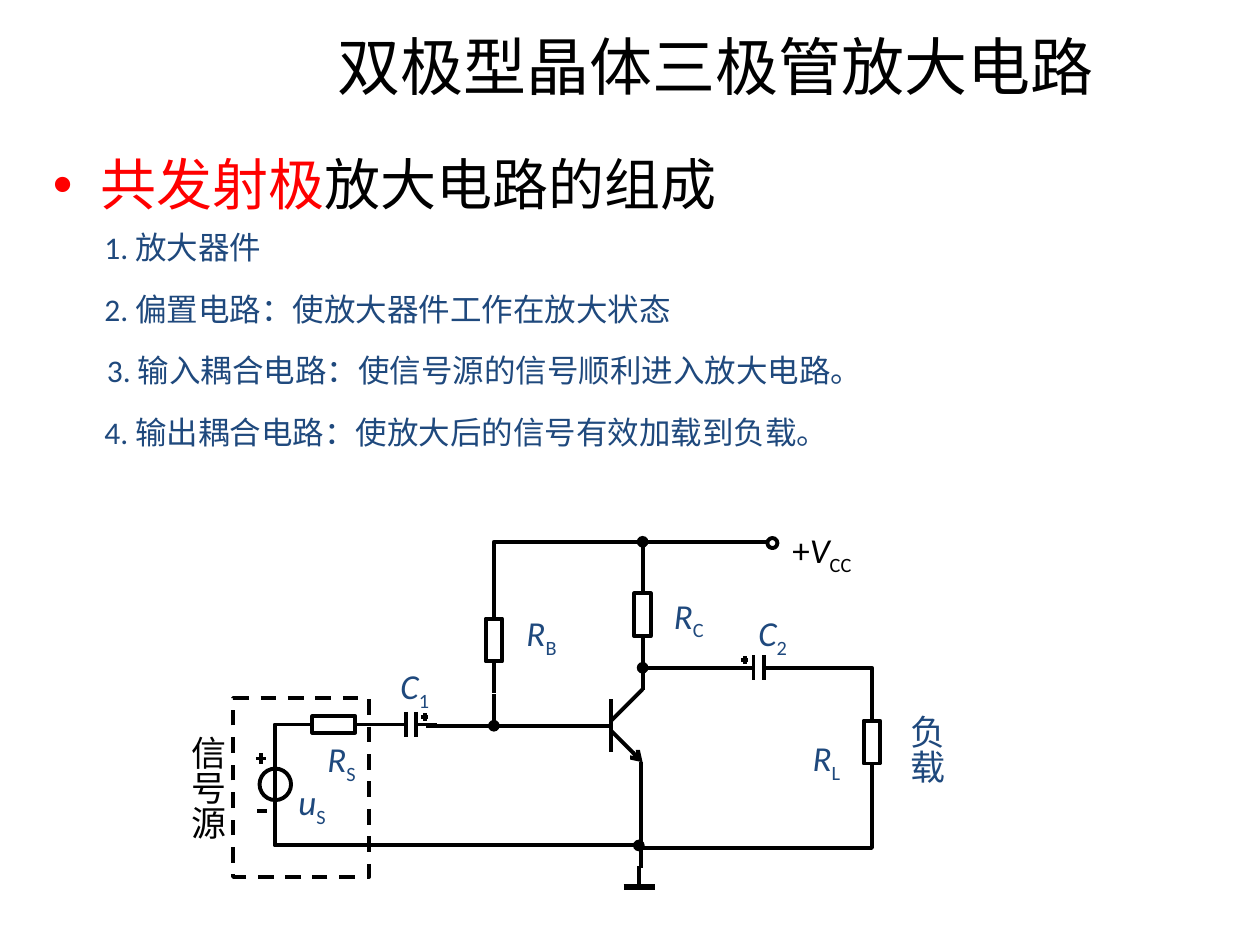
import pptx
import pptx.dml.color
import pptx.enum.dml
import pptx.enum.shapes
import pptx.enum.text
import pptx.oxml
import pptx.oxml.ns
import pptx.util
import lxml.etree

Inches = pptx.util.Inches
Pt = pptx.util.Pt
qn = pptx.oxml.ns.qn
SHAPE = pptx.enum.shapes.MSO_SHAPE
ALIGN = pptx.enum.text.PP_ALIGN
BLACK, BLUE, RED = "000000", "1F497D", "FF0000"

STEPS = [  # left, top, width, text
    (0.73, 1.70, 2.25, "1. 放大器件"),
    (0.73, 2.19, 6.74, "2. 偏置电路：使放大器件工作在放大状态"),
    (0.75, 2.68, 8.73, "3. 输入耦合电路：使信号源的信号顺利进入放大电路。"),
    (0.73, 3.17, 8.69, "4. 输出耦合电路：使放大后的信号有效加载到负载。"),
]
NAMES = [  # left, top, width, symbol, subscript
    (4.08, 4.73, 0.51, "R", "B"),
    (5.25, 4.59, 0.52, "R", "C"),
    (3.08, 5.15, 0.48, "C", "1"),
    (2.50, 5.73, 0.49, "R", "S"),
    (2.27, 6.07, 0.46, "u", "S"),
    (5.92, 4.73, 0.48, "C", "2"),
    (6.35, 5.72, 0.52, "R", "L"),
]
WIRES = [  # start, end, tail end
    ((4.85, 5.55), (4.85, 5.97), None),  # transistor
    ((4.85, 5.72), (5.10, 5.47), None),
    ((4.85, 5.80), (5.10, 6.05), "arrow"),
    ((4.60, 5.76), (4.85, 5.76), None),
    ((5.09, 6.05), (5.09, 6.89), None),  # emitter to ground
    ((5.07, 7.04), (5.07, 6.87), None),
    ((3.38, 5.76), (4.63, 5.76), None),  # base
    ((3.92, 5.51), (3.92, 5.76), "oval"),
    ((5.10, 4.72), (5.10, 4.30), "oval"),  # collector
    ((5.10, 5.14), (5.10, 5.48), None),
    ((5.85, 5.30), (5.10, 5.30), "oval"),
    ((2.18, 5.92), (2.18, 6.55), None),  # source
    ((2.04, 6.44), (2.12, 6.44), None),
]
PATHS = [  # points, tail end
    ([(3.92, 4.80), (3.92, 4.30), (6.09, 4.30)], None),
    ([(2.18, 6.46), (2.18, 6.71), (5.07, 6.71)], "oval"),
    ([(2.18, 6.00), (2.18, 5.75), (2.43, 5.75)], None),
    ([(6.17, 5.30), (6.92, 5.30), (6.92, 5.72)], None),
    ([(6.92, 6.22), (6.92, 6.73), (5.09, 6.73)], None),
]


def paint(hue):
    return pptx.dml.color.RGBColor.from_string(hue)


def apply(item, vals):
    for key, val in vals.items():
        setattr(item, key, val)


def place(item, *box):
    apply(item, dict(zip(("left", "top", "width", "height"), map(Inches, box))))


def write(para, text, size, hue, italic=None, base=None):
    run = para.add_run()
    apply(run, {"text": text})
    apply(run.font, {"name": "Calibri", "size": Pt(size), "italic": italic})
    run.font.color.rgb = paint(hue)
    if base:
        run._r.get_or_add_rPr().set("baseline", str(base))


def label(slide, box, runs, wrap=False, vert=None):
    frame = slide.shapes.add_textbox(*map(Inches, box)).text_frame
    frame.word_wrap = wrap
    if vert:
        frame._txBody.bodyPr.set("vert", vert)
    para = frame.paragraphs[0]
    size = runs[0][1]
    apply(para, {"alignment": ALIGN.JUSTIFY, "line_spacing": 1.2,
                 "space_before": Pt(size / 10)})
    for run in runs:
        write(para, *run)


def ink(line, width=2.25, tail=None):
    line.color.rgb = paint(BLACK)
    line.width = Pt(width)
    if tail:
        end = lxml.etree.SubElement(line._get_or_add_ln(), qn("a:tailEnd"))
        end.set("type", tail)


def wire(slide, start, stop, tail=None, width=2.25):
    line = slide.shapes.add_connector(
        pptx.enum.shapes.MSO_CONNECTOR.STRAIGHT, *map(Inches, start + stop))
    ink(line.line, width, tail)
    lxml.etree.SubElement(line._element.spPr, qn("a:effectLst"))


def clear(shape, tail=None):
    shape.shadow.inherit = False
    shape.fill.background()
    ink(shape.line, tail=tail)
    return shape


def bend(slide, spots, tail=None):
    spots = [tuple(map(Inches, spot)) for spot in spots]
    pen = slide.shapes.build_freeform(*spots[0])
    pen.add_line_segments(spots[1:], close=False)
    clear(pen.convert_to_shape(), tail)


def form(slide, kind, *box):
    return clear(slide.shapes.add_shape(kind, *map(Inches, box)))


def plus(slide, x, y, arm):
    wire(slide, (x - arm, y), (x + arm, y))
    wire(slide, (x, y - arm), (x, y + arm))


def resist(slide, x, y, flat=False):
    """Resistor body with two leads, centred on x, y."""
    wide, high = (0.34, 0.13) if flat else (0.13, 0.34)
    form(slide, SHAPE.RECTANGLE, x - wide / 2, y - high / 2, wide, high)
    dx, dy = (1, 0) if flat else (0, 1)
    for near, far in ((-0.17, -0.42), (0.17, 0.42)):
        wire(slide, (x + near * dx, y + near * dy), (x + far * dx, y + far * dy))


def cap(slide, x, y, side):
    """Capacitor centred on x, y with its plus mark on the given side."""
    for way in (-1, 1):
        plate = x + way * 0.04
        wire(slide, (plate, y - 0.1), (plate, y + 0.1))
        wire(slide, (plate, y), (x + way * 0.21, y))
    plus(slide, x + side * 0.11, y - 0.06, 0.03)


def heads(slide):
    title, body = slide.placeholders
    place(title, 1.52, 0.16, 8.32, 0.71)
    write(title.text_frame.paragraphs[0], "双极型晶体三极管放大电路", 36, BLACK)
    place(body, 0.32, 1.14, 9.35, 1.1)
    para = body.text_frame.paragraphs[0]
    write(para, "共发射极", 32, RED)
    write(para, "放大电路的组成", 32, BLACK)


def parts(slide):
    for spot in ((3.92, 5.08), (5.10, 4.88), (6.92, 5.89)):
        resist(slide, *spot)
    resist(slide, 2.65, 5.75, flat=True)
    cap(slide, 3.26, 5.75, 1)
    cap(slide, 6.02, 5.30, -1)
    form(slide, SHAPE.OVAL, 6.09, 4.27, 0.08, 0.08)  # supply node
    form(slide, SHAPE.OVAL, 2.06, 6.10, 0.25, 0.25)  # signal source
    plus(slide, 2.07, 6.02, 0.04)
    frame = form(slide, SHAPE.RECTANGLE, 1.85, 5.54, 1.08, 1.42)
    frame.line.dash_style = pptx.enum.dml.MSO_LINE.DASH
    wire(slide, (4.95, 7.04), (5.20, 7.04), width=3)  # ground


def main():
    deck = pptx.Presentation()
    apply(deck, {"slide_width": Inches(10), "slide_height": Inches(7.5)})
    slide = deck.slides.add_slide(deck.slide_layouts[1])
    heads(slide)
    for left, top, width, text in STEPS:
        label(slide, (left, top, width, 0.51), [(text, 18, BLUE)], wrap=True)
    # Circuit
    parts(slide)
    for args in WIRES:
        wire(slide, *args)
    for args in PATHS:
        bend(slide, *args)
    # Labels
    for left, top, width, sign, sub in NAMES:
        label(slide, (left, top, width, 0.44),
              [(sign, 20, BLUE, True), (sub, 20, BLUE, False, -25000)])
    label(slide, (6.19, 4.07, 0.81, 0.43),
          [("+", 20, BLACK), ("V", 20, BLACK, True),
           ("CC", 20, BLACK, False, -25000)])
    label(slide, (1.40, 5.74, 0.53, 0.92), [("信号源", 20, BLACK)], vert="eaVert")
    label(slide, (7.10, 5.57, 0.54, 0.65), [("负载", 20, BLUE)], vert="eaVert")
    deck.save("out.pptx")


if __name__ == "__main__":
    main()
